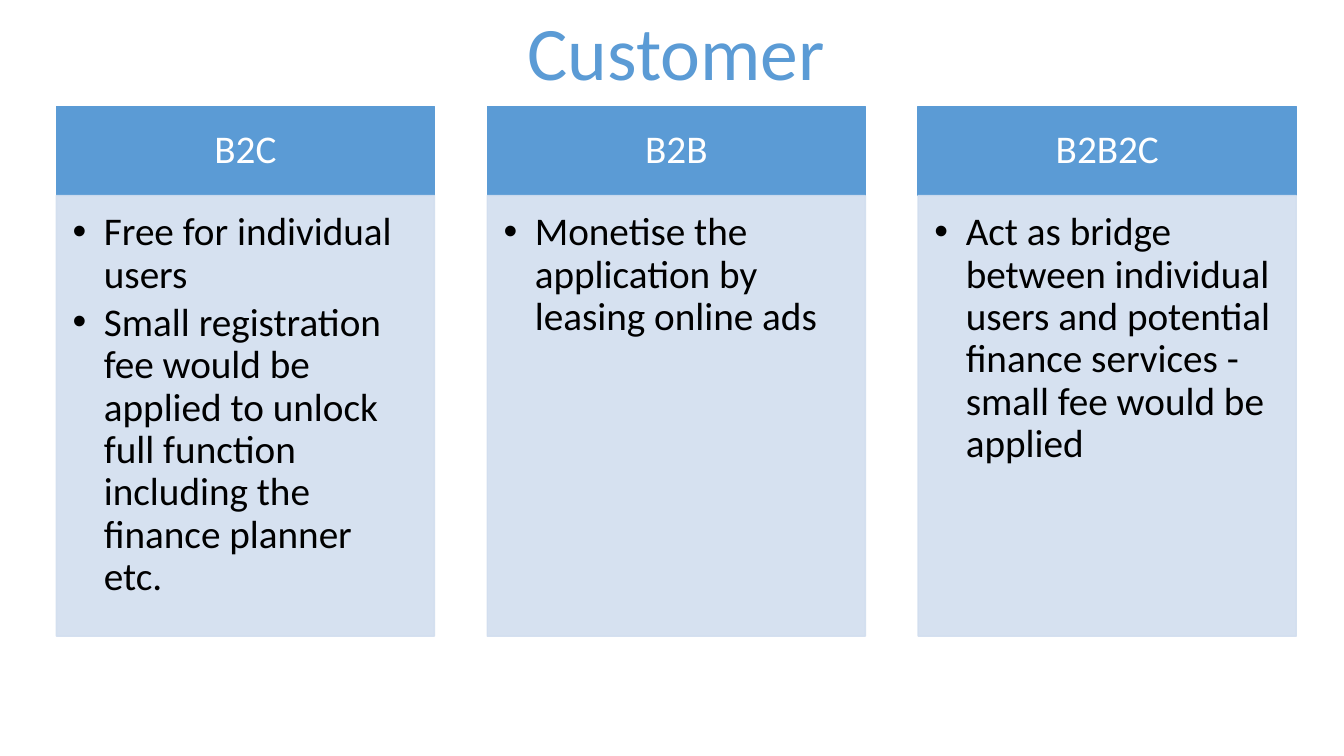
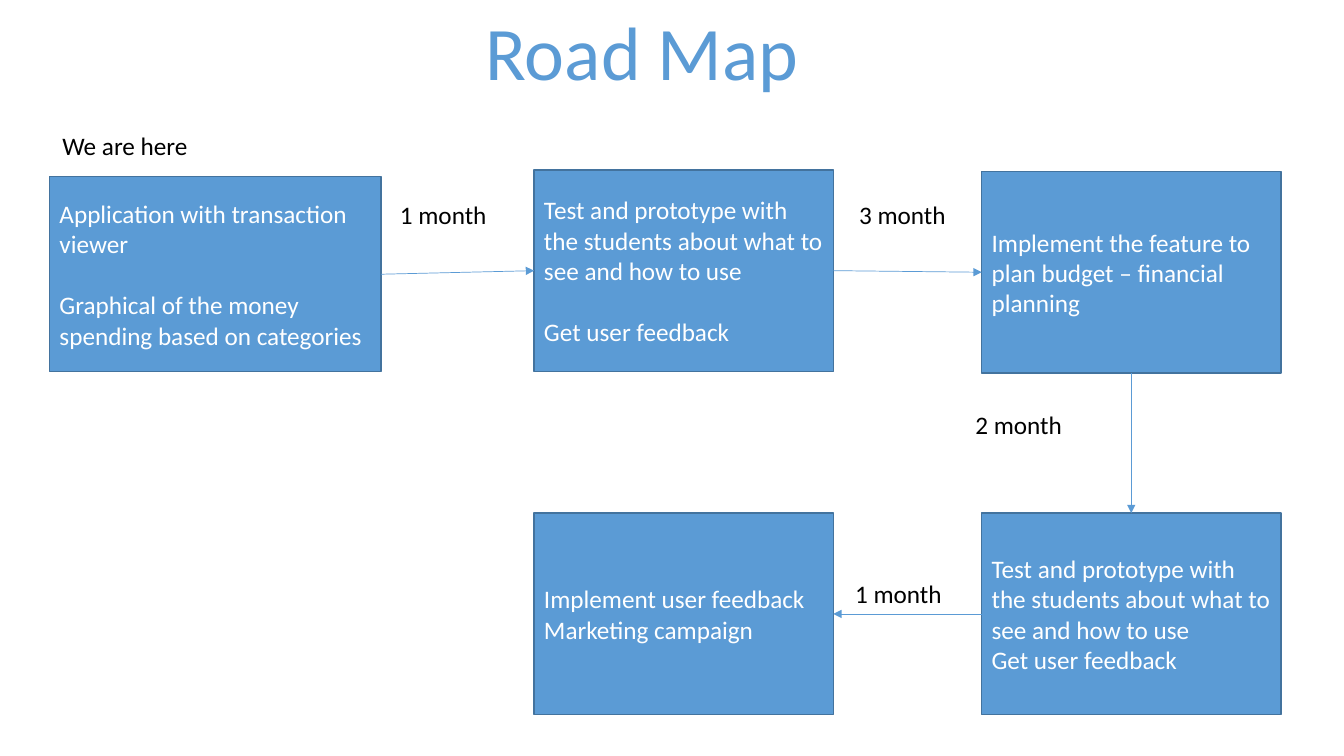
from dataclasses import dataclass

import lxml.etree
import pptx
import pptx.dml.color
import pptx.enum.shapes
import pptx.enum.text
import pptx.oxml.ns
import pptx.util

Cm = pptx.util.Cm
Pt = pptx.util.Pt
qn = pptx.oxml.ns.qn
ALIGN = pptx.enum.text.PP_ALIGN
ANCHOR = pptx.enum.text.MSO_ANCHOR

FONT = "Calibri"
BLUE, PALE_BLUE, OUTLINE = "5B9BD5", "D2DEEF", "43739E"
WHITE, BLACK = "FFFFFF", "000000"
TITLE_SIZE, COLUMN_SIZE, STEP_SIZE = 54, 28, 18
TOP, LEFT, BOTTOM, RIGHT = range(4)


@dataclass(frozen=True)
class Box:
    """A rectangle in centimetres."""
    left: float
    top: float
    width: float
    height: float

    def lengths(self) -> tuple:
        return Cm(self.left), Cm(self.top), Cm(self.width), Cm(self.height)


@dataclass(frozen=True)
class Column:
    heading: str
    points: tuple[str, ...]


@dataclass(frozen=True)
class Step:
    box: Box
    lines: tuple[str, ...]
    gap: int = 0  # points between the lines


@dataclass(frozen=True)
class Transition:
    """An arrow from one step to the next, with its duration."""
    begin_side: int
    end_side: int
    duration: str
    label_left: float
    label_top: float


COLUMNS = (
    Column("B2C", (
        "Free for individual users",
        "Small registration fee would be applied to unlock full function "
        "including the finance planner etc.")),
    Column("B2B", ("Monetise the application by leasing online ads",)),
    Column("B2B2C", (
        "Act as bridge between individual users and potential finance "
        "services - small fee would be applied",)),
)
COLUMN_LEFT, COLUMN_PITCH, COLUMN_WIDTH = 1.42, 10.86, 9.53
HEADING_TOP, HEADING_HEIGHT, BODY_HEIGHT = 2.69, 2.24, 11.1
HEADING_INSETS = (0.56, 0.31, 0.56, 0.31)
BODY_INSETS = (0.41, 0.41, 0.56, 0.61)
BULLET_INDENT = Cm(0.79)

STEP_WIDTH, STEP_HEIGHT = 7.54, 5.08
MIDDLE_LEFT, RIGHT_LEFT, LOWER_TOP = 13.46, 24.74, 12.93
LABEL_WIDTH, LABEL_HEIGHT = 3.18, 1.02
TESTING = ("Test and prototype with the students about what to see and how to use",
           "Get user feedback")
STEPS = (
    Step(Box(1.25, 4.45, 8.35, 4.92),
         ("Application with transaction viewer",
          "Graphical of the money spending based on categories"), 22),
    Step(Box(MIDDLE_LEFT, 4.28, STEP_WIDTH, STEP_HEIGHT), TESTING, 22),
    Step(Box(RIGHT_LEFT, 4.32, STEP_WIDTH, STEP_HEIGHT),
         ("Implement the feature to plan budget – financial planning",)),
    Step(Box(RIGHT_LEFT, LOWER_TOP, STEP_WIDTH, STEP_HEIGHT), TESTING),
    Step(Box(MIDDLE_LEFT, LOWER_TOP, STEP_WIDTH, STEP_HEIGHT),
         ("Implement user feedback", "Marketing campaign")),
)
TRANSITIONS = (
    Transition(RIGHT, LEFT, "1 month", 9.83, 4.9),
    Transition(RIGHT, LEFT, "3 month", 21.4, 4.9),
    Transition(BOTTOM, TOP, "2 month", 24.33, 10.2),
    Transition(LEFT, RIGHT, "1 month", 21.3, 14.46),
)


def color(value: str) -> pptx.dml.color.RGBColor:
    return pptx.dml.color.RGBColor.from_string(value)


def write(text_frame, lines: tuple[str, ...], size: int, font_color: str,
          alignment=ALIGN.LEFT) -> None:
    text_frame.text = "\n".join(lines)
    for paragraph in text_frame.paragraphs:
        paragraph.alignment = alignment
        for run in paragraph.runs:
            run.font.name = FONT
            run.font.size = Pt(size)
            run.font.color.rgb = color(font_color)


def add_text(slide, box: Box, text: str, size: int, font_color: str,
             alignment=ALIGN.LEFT, wrap: bool = True) -> None:
    text_frame = slide.shapes.add_textbox(*box.lengths()).text_frame
    text_frame.word_wrap = wrap
    text_frame.auto_size = pptx.enum.text.MSO_AUTO_SIZE.SHAPE_TO_FIT_TEXT
    write(text_frame, (text,), size, font_color, alignment)


def add_title(slide, text: str, left: float, width: float) -> None:
    add_text(slide, Box(left, 0, width, 2.57), text, TITLE_SIZE, BLUE,
             ALIGN.CENTER, wrap=False)


def add_rectangle(slide, box: Box, fill: str, line: str, anchor=ANCHOR.MIDDLE):
    shape = slide.shapes.add_shape(
        pptx.enum.shapes.MSO_SHAPE.RECTANGLE, *box.lengths())
    shape.shadow.inherit = False
    shape.fill.solid()
    shape.fill.fore_color.rgb = color(fill)
    shape.line.color.rgb = color(line)
    shape.line.width = Pt(1)
    shape.text_frame.word_wrap = True
    shape.text_frame.vertical_anchor = anchor
    return shape


def set_insets(text_frame, insets: tuple[float, ...]) -> None:
    """Set the left, top, right and bottom margins in centimetres."""
    (text_frame.margin_left, text_frame.margin_top,
     text_frame.margin_right, text_frame.margin_bottom) = map(Cm, insets)


def set_opacity(shape, percent: int) -> None:
    """Apply an opacity to both fill and outline."""
    for element in list(shape.element.spPr.iter(qn("a:srgbClr"))):
        alpha = lxml.etree.SubElement(element, qn("a:alpha"))
        alpha.set("val", str(percent * 1000))


def add_bullet(paragraph) -> None:
    properties = paragraph._p.get_or_add_pPr()
    properties.set("marL", str(BULLET_INDENT))
    properties.set("indent", str(-BULLET_INDENT))
    lxml.etree.SubElement(properties, qn("a:buFont")).set("typeface", "Arial")
    lxml.etree.SubElement(properties, qn("a:buChar")).set("char", "•")


def add_column(slide, column: Column, left: float) -> None:
    heading = add_rectangle(
        slide, Box(left, HEADING_TOP, COLUMN_WIDTH, HEADING_HEIGHT), BLUE, BLUE)
    set_insets(heading.text_frame, HEADING_INSETS)
    write(heading.text_frame, (column.heading,), COLUMN_SIZE, WHITE, ALIGN.CENTER)
    heading.text_frame.paragraphs[0].line_spacing = 0.9

    body = add_rectangle(
        slide, Box(left, HEADING_TOP + HEADING_HEIGHT, COLUMN_WIDTH, BODY_HEIGHT),
        PALE_BLUE, PALE_BLUE, ANCHOR.TOP)
    set_opacity(body, 90)
    set_insets(body.text_frame, BODY_INSETS)
    write(body.text_frame, column.points, COLUMN_SIZE, BLACK)
    for paragraph in body.text_frame.paragraphs:
        paragraph.line_spacing = 0.9
        paragraph.space_after = Pt(4.2)
        add_bullet(paragraph)


def add_step(slide, step: Step):
    shape = add_rectangle(slide, step.box, BLUE, OUTLINE)
    write(shape.text_frame, step.lines, STEP_SIZE, WHITE)
    for paragraph in shape.text_frame.paragraphs[1:]:
        paragraph.space_before = Pt(step.gap)
    return shape


def add_arrow(slide, begin, begin_side: int, end, end_side: int) -> None:
    connector = slide.shapes.add_connector(
        pptx.enum.shapes.MSO_CONNECTOR.STRAIGHT, 0, 0, 0, 0)
    connector.begin_connect(begin, begin_side)
    connector.end_connect(end, end_side)
    connector.line.color.rgb = color(BLUE)
    connector.line.width = Pt(0.5)
    line = connector.line._get_or_add_ln()
    lxml.etree.SubElement(line, qn("a:tailEnd")).set("type", "triangle")
    lxml.etree.SubElement(connector._element.spPr, qn("a:effectLst"))


def build_customer(slide) -> None:
    add_title(slide, "Customer", 13, 8.08)
    for index, column in enumerate(COLUMNS):
        add_column(slide, column, COLUMN_LEFT + index * COLUMN_PITCH)


def build_road_map(slide) -> None:
    add_title(slide, "Road Map", 11.94, 8.48)
    shapes = [add_step(slide, step) for step in STEPS]
    for begin, end, transition in zip(shapes, shapes[1:], TRANSITIONS):
        add_arrow(slide, begin, transition.begin_side, end, transition.end_side)
        add_text(slide, Box(transition.label_left, transition.label_top,
                            LABEL_WIDTH, LABEL_HEIGHT),
                 transition.duration, STEP_SIZE, BLACK)
    add_text(slide, Box(1.32, 3.15, STEP_WIDTH, LABEL_HEIGHT), "We are here",
             STEP_SIZE, BLACK)


def main() -> None:
    presentation = pptx.Presentation()
    presentation.slide_width = Cm(33.87)
    presentation.slide_height = Cm(19.05)
    blank_layout = presentation.slide_layouts[6]
    for build in (build_customer, build_road_map):
        build(presentation.slides.add_slide(blank_layout))
    presentation.save("out.pptx")


if __name__ == "__main__":
    main()
